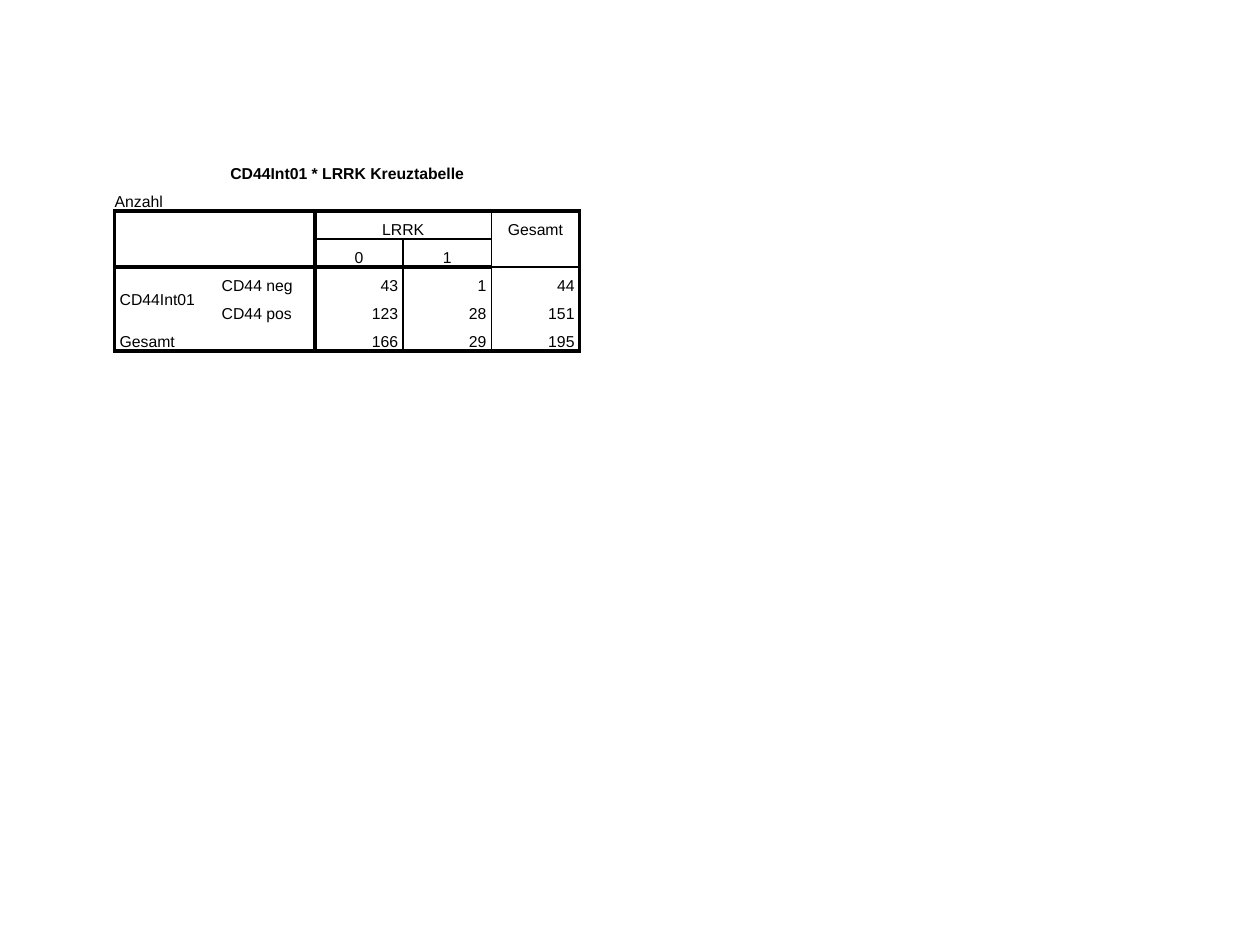
from lxml.etree import SubElement
from pptx import Presentation
from pptx.dml.color import RGBColor
from pptx.enum.text import MSO_ANCHOR as Anchor, PP_ALIGN as Align
from pptx.oxml.ns import qn
from pptx.util import Inches, Pt

BLACK, WHITE = "000000", "FFFFFF"
THICK, THIN = 2.25, 1
COLUMN_WIDTHS = [0.81, 0.78, 0.7, 0.7, 0.7]
ROW_HEIGHT = 0.22
INDENT = 0.04
TITLE_ROW, UNIT_ROW, HEADER_ROW, CODE_ROW, BODY_ROW = range(5)
ROWS = [
    ["CD44Int01 * LRRK Kreuztabelle", "", "", "", ""],
    ["Anzahl", "", "", "", ""],
    ["", "", "LRRK", "", "Gesamt"],
    ["", "", "0", "1", ""],
    ["CD44Int01", "CD44 neg", "43", "1", "44"],
    ["", "CD44 pos", "123", "28", "151"],
    ["Gesamt", "", "166", "29", "195"],
]
MERGES = [  # first cell, last cell
    ((0, 0), (0, 4)), ((1, 0), (1, 4)), ((2, 0), (3, 1)), ((2, 2), (2, 3)),
    ((2, 4), (3, 4)), ((4, 0), (5, 0)), ((6, 0), (6, 1)),
]


def rgb(color):
    return RGBColor.from_string(color)


def vertical_line(row, edge):
    """Width of the line at a column edge, or 0 for none."""
    if row < HEADER_ROW or edge == 1 or (row, edge) == (HEADER_ROW, 3):
        return 0
    return THIN if edge in (3, 4) else THICK


def horizontal_line(edge, column):
    """Width of the line at a row edge, or 0 for none."""
    if edge in (HEADER_ROW, len(ROWS)):
        return THICK
    if edge == CODE_ROW:
        return THIN if column in (2, 3) else 0
    if edge == BODY_ROW:
        return THIN if column == 4 else THICK
    return 0


def set_borders(cell, row, column):
    widths = {
        "a:lnL": vertical_line(row, column),
        "a:lnR": vertical_line(row, column + 1),
        "a:lnT": horizontal_line(row, column),
        "a:lnB": horizontal_line(row + 1, column),
    }
    properties = cell._tc.get_or_add_tcPr()
    for position, (tag, width) in enumerate(widths.items()):
        line = SubElement(properties, qn(tag), w=str(Pt(width)))
        if width:
            fill = SubElement(line, qn("a:solidFill"))
            SubElement(fill, qn("a:srgbClr"), val=BLACK)
        else:
            SubElement(line, qn("a:noFill"))
        properties.insert(position, line)


def alignment(row, column):
    if row in (TITLE_ROW, HEADER_ROW, CODE_ROW):
        return Align.CENTER
    return Align.RIGHT if row >= BODY_ROW and column >= 2 else Align.LEFT


def anchor(row, column):
    if row == UNIT_ROW:
        return Anchor.BOTTOM
    return Anchor.MIDDLE if row >= BODY_ROW and column < 2 else Anchor.TOP


def format_cell(cell, row, column):
    cell.margin_left = cell.margin_right = cell.margin_top = cell.margin_bottom = 0
    cell.vertical_anchor = anchor(row, column)
    cell.fill.solid()
    cell.fill.fore_color.rgb = rgb(WHITE)
    cell.text_frame.text = ROWS[row][column]
    paragraph = cell.text_frame.paragraphs[0]
    paragraph.alignment = alignment(row, column)
    paragraph.line_spacing = Pt(16)
    if row != UNIT_ROW:
        properties = paragraph._p.get_or_add_pPr()
        for side in ("marL", "marR"):
            properties.set(side, str(Inches(INDENT)))
    for run in paragraph.runs:
        run.font.name = "Arial"
        run.font.size = Pt(9)
        run.font.bold = row == TITLE_ROW
        run.font.color.rgb = rgb(BLACK)
    set_borders(cell, row, column)


def add_crosstab(slide, left, top):
    shape = slide.shapes.add_table(
        len(ROWS), len(COLUMN_WIDTHS), Inches(left), Inches(top),
        Inches(sum(COLUMN_WIDTHS)), Inches(ROW_HEIGHT * len(ROWS)))
    table = shape.table
    table.first_row = table.horz_banding = False
    for column, width in zip(table.columns, COLUMN_WIDTHS):
        column.width = Inches(width)
    for row in table.rows:
        row.height = Inches(ROW_HEIGHT)
    for row, texts in enumerate(ROWS):
        for column in range(len(texts)):
            format_cell(table.cell(row, column), row, column)
    for first, last in MERGES:
        table.cell(*first).merge(table.cell(*last))


def main():
    presentation = Presentation()
    presentation.slide_width = Inches(10)
    presentation.slide_height = Inches(7.5)
    slide = presentation.slides.add_slide(presentation.slide_layouts[6])
    add_crosstab(slide, 0.91, 1.23)
    presentation.save("out.pptx")


if __name__ == "__main__":
    main()
